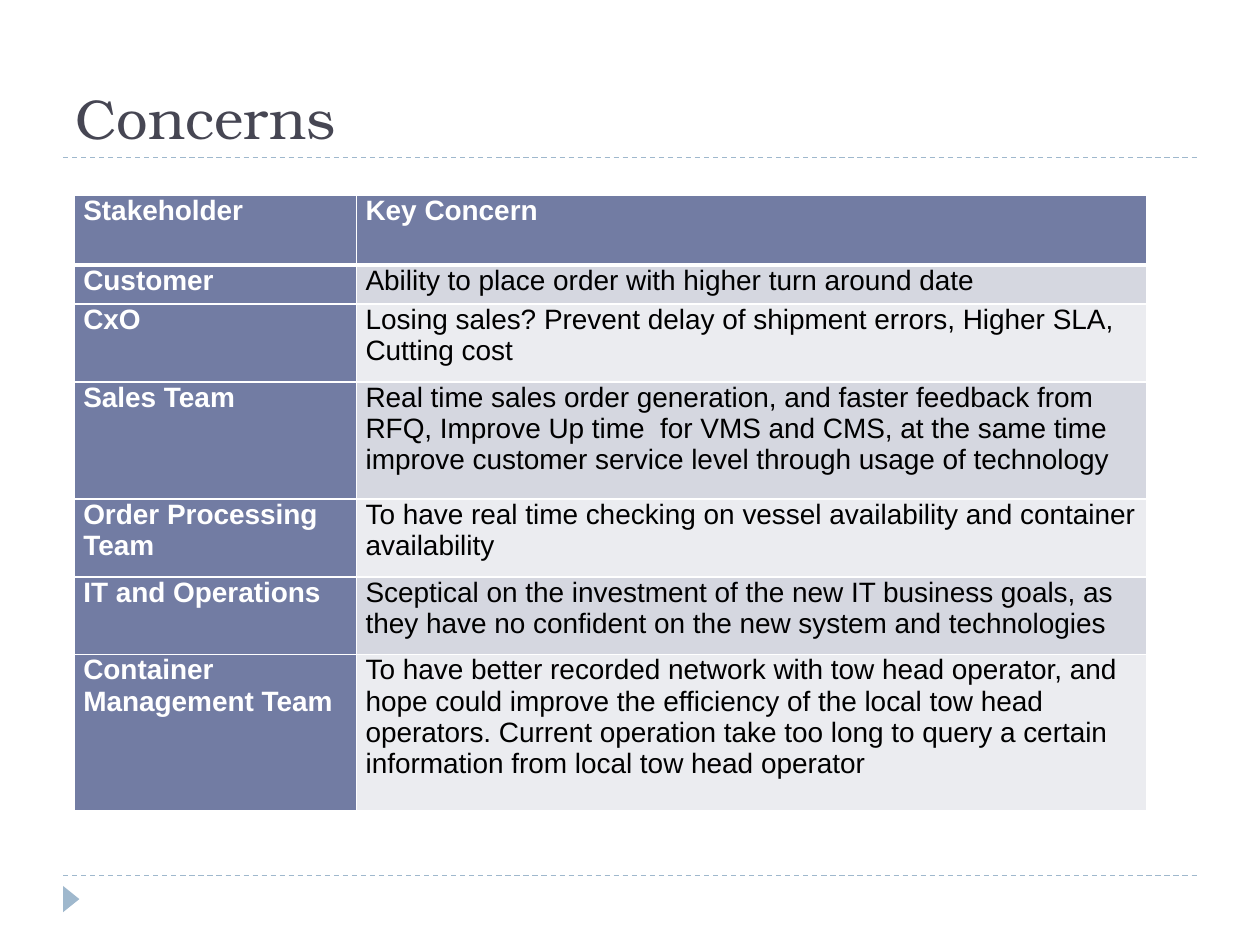
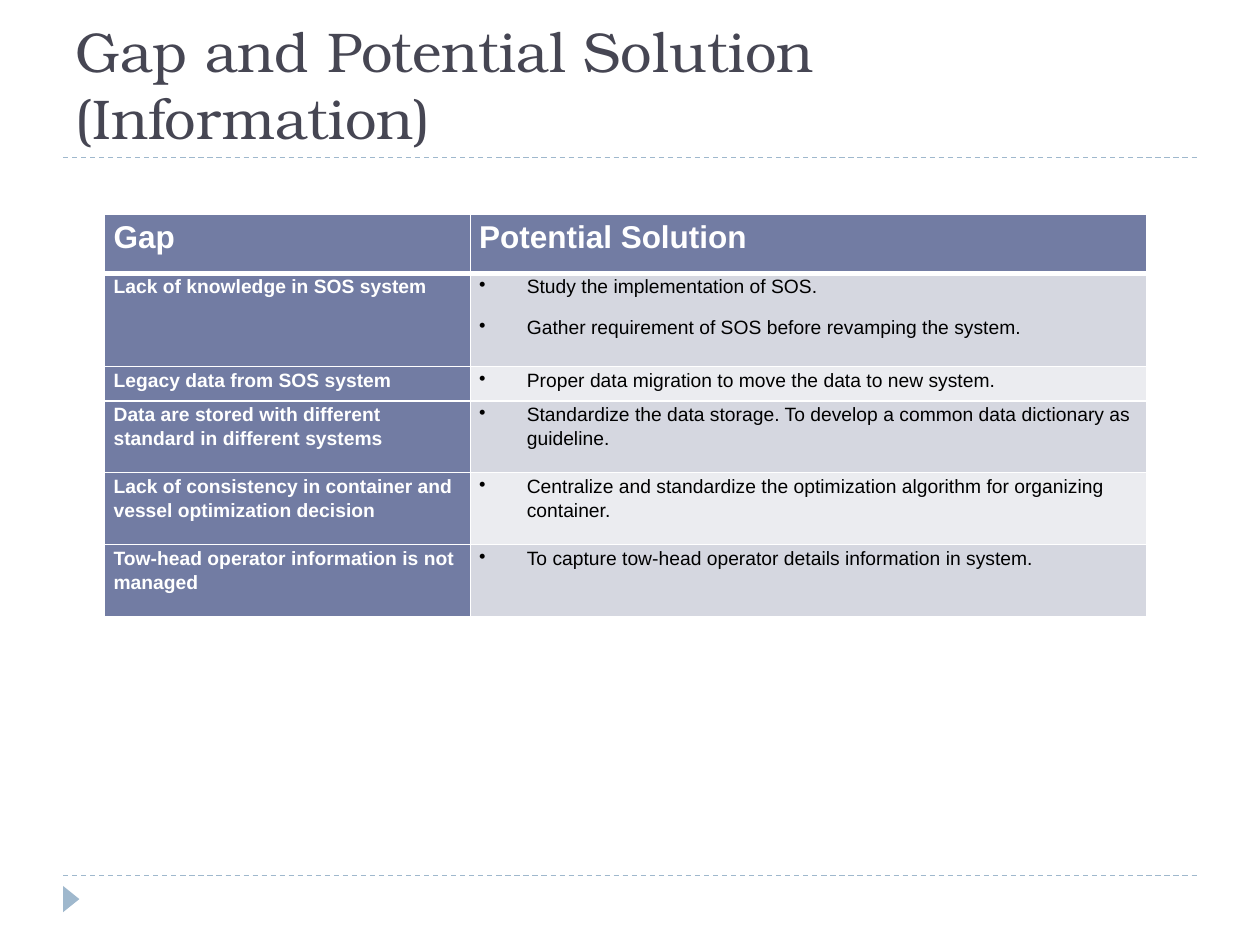
from lxml.etree import SubElement as Sub
from pptx import Presentation
from pptx.dml.color import RGBColor as RGB
from pptx.enum.dml import MSO_LINE as Dash
from pptx.enum.shapes import MSO_CONNECTOR as Link, MSO_SHAPE as Kind
from pptx.enum.text import MSO_ANCHOR as Anchor
from pptx.oxml.ns import qn
from pptx.util import Cm, Pt

# Colours and fonts
WHITE = RGB(0xFF, 0xFF, 0xFF)
BLACK = RGB(0x00, 0x00, 0x00)
INK = RGB(0x46, 0x46, 0x53)
SKY = RGB(0x9F, 0xB8, 0xCD)
SLATE = RGB(0x72, 0x7C, 0xA3)
BANDS = RGB(0xD5, 0xD7, 0xE0), RGB(0xEB, 0xEC, 0xF0)
SERIF, SANS = "TeX Gyre Bonum", "Arial"

# Slide 1: cells, and row heights as counts of text lines
CONCERNS = [
    ("Stakeholder", "Key Concern"),
    ("Customer", "Ability to place order with higher turn around date"),
    ("CxO", "Losing sales? Prevent delay of shipment errors, Higher SLA, "
     "Cutting cost"),
    ("Sales Team", "Real time sales order generation, and faster feedback "
     "from RFQ, Improve Up time  for VMS and CMS, at the same time improve "
     "customer service level through usage of technology"),
    ("Order Processing Team", "To have real time checking on vessel "
     "availability and container availability"),
    ("IT and Operations", "Sceptical on the investment of the new IT business "
     "goals, as they have no confident on the new system and technologies"),
    ("Container Management Team", "To have better recorded network with tow "
     "head operator, and hope could improve the efficiency of the local tow "
     "head operators. Current operation take too long to query a certain "
     "information from local tow head operator"),
]
LINES = [1, 2, 3, 2, 2, 4]

# Slide 2: a list in a cell becomes bullets
GAPS = [
    ("Gap", "Potential Solution"),
    ("Lack of knowledge in SOS system",
     ["Study the implementation of SOS.",
      "Gather requirement of SOS before revamping the system."]),
    ("Legacy data from SOS system",
     ["Proper data migration to move the data to new system."]),
    ("Data are stored with different standard in different systems",
     ["Standardize the data storage. To develop a common data dictionary "
      "as guideline."]),
    ("Lack of consistency in container and vessel optimization decision",
     ["Centralize and standardize the optimization algorithm for "
      "organizing container."]),
    ("Tow-head operator information is not managed",
     ["To capture tow-head operator details information in system."]),
]


class Deck:
    def __init__(self):
        self.prs = Presentation()
        self.prs.slide_width, self.prs.slide_height = Cm(25.4), Cm(19.05)
        self.slide = None

    def page(self, title):
        """Start a slide with its rules, footer mark and title."""
        self.slide = self.prs.slides.add_slide(self.prs.slide_layouts[6])
        for y in (17.65, 3.17):
            self.rule(y)
        self.mark()
        self.title(title)

    def rule(self, y):
        line = self.slide.shapes.add_connector(
            Link.STRAIGHT, Cm(1.27), Cm(y), Cm(24.13), Cm(y))
        line.line.color.rgb = SKY
        line.line.width = Pt(0.75)
        line.line.dash_style = Dash.DASH
        Sub(line._element.spPr, qn("a:effectLst"))

    def mark(self):
        mark = self.slide.shapes.add_shape(
            Kind.ISOSCELES_TRIANGLE, Cm(1.17), Cm(17.96), Cm(0.53), Cm(0.33))
        mark.rotation = 90
        mark.shadow.inherit = False
        mark.fill.solid()
        mark.fill.fore_color.rgb = SKY
        mark.line.fill.background()

    def title(self, text):
        box = self.slide.shapes.add_textbox(
            Cm(1.27), Cm(0.43), Cm(22.86), Cm(2.74))
        frame = box.text_frame
        frame.word_wrap = True
        frame.vertical_anchor = Anchor.BOTTOM
        frame.margin_right = Cm(0.5)
        self.run(frame.paragraphs[0], text, SERIF, 32, INK)

    def run(self, para, text, face, size, color, bold=False):
        run = para.add_run()
        run.text = text
        font = run.font
        font.name, font.size, font.bold = face, Pt(size), bold
        font.color.rgb = color

    def table(self, left, top, cols, rows, data, sizes, space=1.0):
        """Draw a table; sizes holds the head and body text sizes."""
        grid = self.slide.shapes.add_table(
            len(rows), len(cols), Cm(left), Cm(top),
            Cm(sum(cols)), Cm(sum(rows))).table
        for col, width in zip(grid.columns, cols):
            col.width = Cm(width)
        for r, (row, high) in enumerate(zip(grid.rows, rows)):
            row.height = Cm(high)
            for c, cell in enumerate(row.cells):
                dark = r == 0 or c == 0
                self.edges(cell, r)
                cell.fill.solid()
                cell.fill.fore_color.rgb = SLATE if dark else BANDS[(r - 1) % 2]
                self.fill(cell, data[r][c], sizes[min(r, 1)], dark, space)

    def edges(self, cell, r):
        # A thick line parts the head from the body
        thick = {0: "B", 1: "T"}.get(r)
        props = cell._tc.get_or_add_tcPr()
        for side in "LRTB":
            width = Pt(3 if side == thick else 1)
            line = Sub(props, qn(f"a:ln{side}"), w=str(width))
            Sub(Sub(line, qn("a:solidFill")), qn("a:srgbClr"), val=str(WHITE))

    def fill(self, cell, text, size, dark, space):
        cell.margin_left = cell.margin_right = Cm(0.18)
        cell.margin_top = cell.margin_bottom = 0
        listed = isinstance(text, list)
        frame = cell.text_frame
        for i, item in enumerate(text if listed else [text]):
            para = frame.add_paragraph() if i else frame.paragraphs[0]
            if listed:
                self.bullet(para)
            para.line_spacing = space
            para.space_after = Pt(3)
            if i:
                para.space_before = Pt(6)
            self.run(para, item, SANS, size, WHITE if dark else BLACK, dark)

    def bullet(self, para):
        props = para._p.get_or_add_pPr()
        props.set("marL", str(Cm(0.96)))
        props.set("indent", str(-Cm(0.96)))
        Sub(props, qn("a:buChar"), char="•")


def main():
    deck = Deck()

    # Stakeholder concerns
    deck.page("Concerns")
    rows = [1.4] + [round(n * 0.787, 2) for n in LINES]
    deck.table(1.5, 3.94, [5.69, 15.93], rows, CONCERNS, (16, 16))

    # Gaps and their solutions
    deck.page("Gap and Potential Solution (Information)")
    rows = [1.19, 1.88, 0.69] + [1.45] * 3
    deck.table(2.11, 4.32, [7.37, 13.64], rows, GAPS, (18, 11), 1.15)

    deck.prs.save("out.pptx")


if __name__ == "__main__":
    main()
